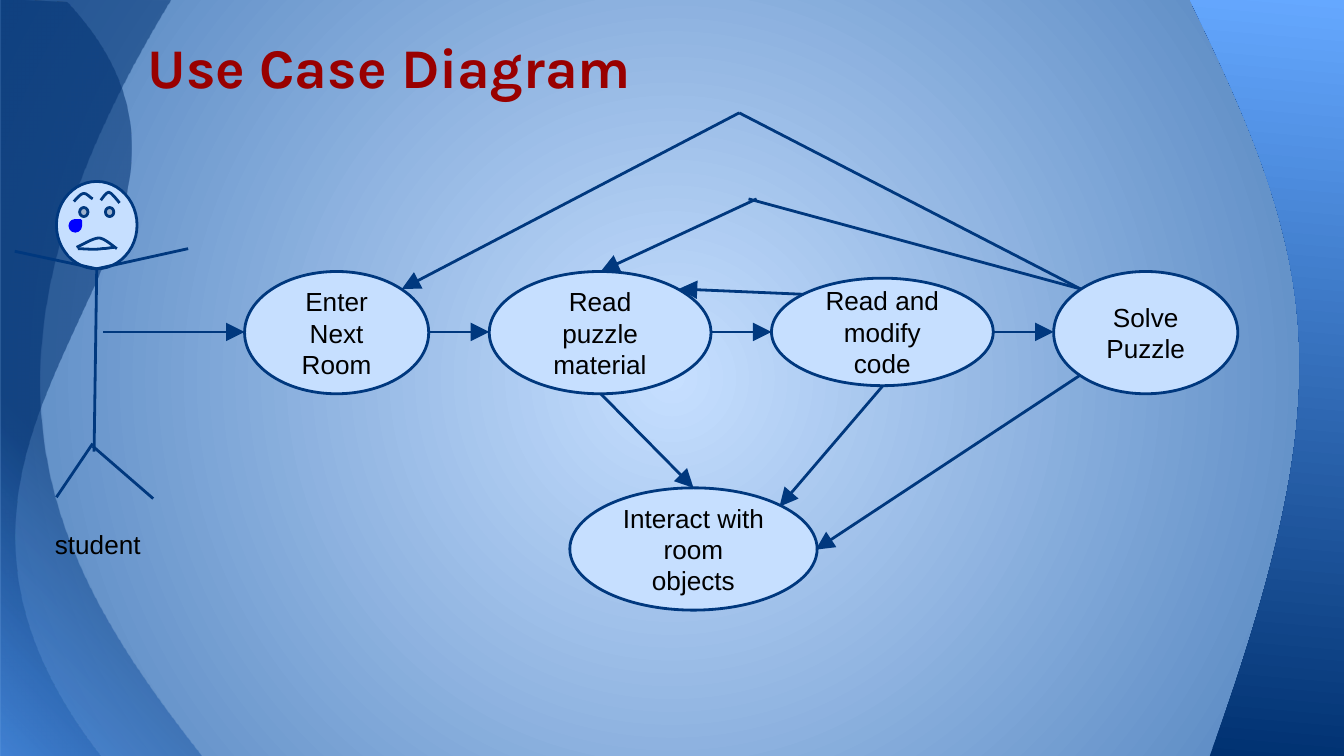
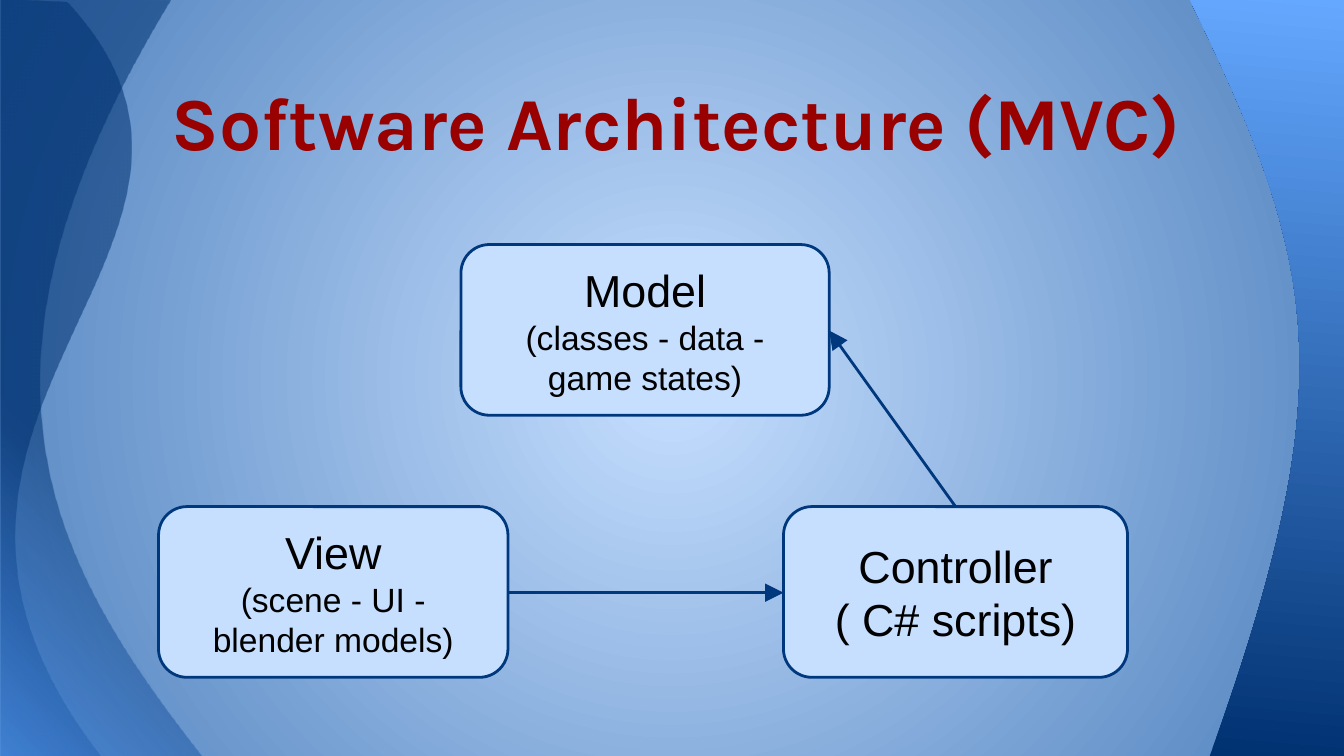
"""Build a use case diagram slide and a software architecture slide."""
from lxml.etree import SubElement
from pptx import Presentation
from pptx.dml.color import RGBColor as RGB
from pptx.enum.shapes import MSO_CONNECTOR as Link, MSO_SHAPE as Kind
from pptx.enum.text import MSO_ANCHOR as Anchor, PP_ALIGN as Align
from pptx.oxml import parse_xml
from pptx.oxml.ns import nsdecls, qn
from pptx.util import Inches, Pt

HUE = {"pale": "C6DFFF", "mid": "4F81BD", "navy": "00387E", "deep": "003171",
       "sky": "549FFF", "light": "65A8FF", "red": "990000", "tear": "0000FF",
       "ink": "000000"}
EDGE = Pt(1.5)


def shade(owner, fill, stops, form, alpha=100):
    """Give the owner's fill a gradient of (position, colour) stops."""
    fill.solid()
    fill.fore_color.rgb = RGB.from_string(HUE[stops[0][1]])
    marks = "".join(
        f'<a:gs pos="{pos * 1000}"><a:srgbClr val="{HUE[hue]}">'
        f'<a:alpha val="{alpha * 1000}"/></a:srgbClr></a:gs>' for pos, hue in stops)
    old = owner.element.find(".//" + qn("a:solidFill"))
    new = parse_xml(f'<a:gradFill {nsdecls("a")} rotWithShape="1">'
                    f'<a:gsLst>{marks}</a:gsLst>{form}</a:gradFill>')
    old.getparent().replace(old, new)


def curve(page, dots, bends, close):
    """Draw an outline; each bend is the first of three Bezier points."""
    spots = [(Inches(x), Inches(y)) for x, y in dots]
    pen = page.shapes.build_freeform(*spots[0])
    pen.add_line_segments(spots[1:], close=close)
    shape = pen.convert_to_shape()
    shape.shadow.inherit = False
    legs = list(shape.element.iter(qn("a:lnTo")))
    for bend in bends:
        trio = legs[bend:bend + 3]
        bow = parse_xml(f'<a:cubicBezTo {nsdecls("a")}/>')
        trio[0].addprevious(bow)
        for leg in trio:
            bow.append(leg[0])
            leg.getparent().remove(leg)
    return shape


prs = Presentation()
prs.slide_width, prs.slide_height = Inches(10), Inches(5.625)
ring = '<a:path path="circle"><a:fillToRect l="{}" t="{}" r="{}" b="{}"/></a:path>'
glow = ring.format(50000, 50000, 50000, 50000)
nook = ring.format(0, 100000, 100000, 0)
slope = '<a:lin ang="16500000" scaled="0"/>'
haze = [(0, "sky"), (41, "deep"), (100, "deep")]
bands = [
    ([(1.5, 5.62), (-0.01, 5.62), (-0.01, -0.02), (1.27, 0),
      (-0.38, 2.72), (0.33, 4.13), (1.5, 5.62)], 3, haze, nook, 54),
    ([(0.75, 5.62), (0.01, 5.62), (0.01, 0), (0.5, 0.02),
      (2.17, 1.82), (-1.22, 3.08), (0.75, 5.62)], 3, haze, nook, 54),
    ([(10.05, 5.63), (9, 5.63), (10.01, 2.84), (9.81, 1.96), (8.85, -0.01),
      (10.05, -0.01)], 1, [(0, "deep"), (100, "light")], slope, 100),
]
base = prs.slide_master
shade(base, base.background.fill, [(0, "pale"), (100, "mid")], glow)
pages = [prs.slides.add_slide(prs.slide_layouts[6]) for _ in range(2)]
for page in pages:
    for dots, bend, stops, form, alpha in bands:
        band = curve(page, dots, [bend], True)
        shade(band, band.fill, stops, form, alpha)
        band.line.fill.background()
case, arch = pages

labels = [
    (case, "Use Case Diagram", (1, -0.25, 9, 1.09), 30, "Karla", "red"),
    (arch, "Software Architecture (MVC)", (1.18, 0.24, 9, 1.09), 40, "Karla", "red"),
    (case, "student", (0.31, 3.83, 6.12, 0.71), 14, "Arial", "ink"),
]
for page, text, box, size, face, hue in labels:
    frame = page.shapes.add_textbox(*map(Inches, box)).text_frame
    frame.word_wrap = True
    frame.margin_top = frame.margin_bottom = Inches(0.1)
    frame.text = text
    title = face == "Karla"
    frame.vertical_anchor = Anchor.BOTTOM if title else Anchor.TOP
    font = frame.paragraphs[0].runs[0].font
    font.name, font.size, font.bold = face, Pt(size), title
    font.color.rgb = RGB.from_string(HUE[hue])

oval, card = Kind.OVAL, Kind.ROUNDED_RECTANGLE
nodes = [
    (case, oval, (5.74, 2.07, 1.65, 0.8), "Read and modify code", [14]),
    (case, oval, (3.64, 2.02, 1.65, 0.91), "Read puzzle material", [14]),
    (case, oval, (1.82, 2.02, 1.37, 0.91), "Enter Next Room", [14]),
    (case, oval, (4.24, 3.63, 1.84, 0.91), "Interact with room objects", [14]),
    (case, oval, (7.84, 2.02, 1.37, 0.91), "Solve Puzzle", [14]),
    (arch, card, (3.43, 1.82, 2.74, 1.27),
     "Model\n(classes - data - game states)", [24, 18]),
    (arch, card, (1.18, 3.77, 2.6, 1.27),
     "View\n(scene - UI - blender models)", [24, 18]),
    (arch, card, (5.83, 3.77, 2.56, 1.27), "Controller\n( C# scripts)", [24, 24]),
]
for page, kind, box, text, sizes in nodes:
    node = page.shapes.add_shape(kind, *map(Inches, box))
    node.shadow.inherit = False
    node.fill.solid()
    node.fill.fore_color.rgb = RGB.from_string(HUE["pale"])
    node.line.color.rgb = RGB.from_string(HUE["navy"])
    node.line.width = EDGE
    frame = node.text_frame
    frame.word_wrap = True
    frame.vertical_anchor = Anchor.MIDDLE
    frame.margin_left = frame.margin_right = Inches(0.11)
    frame.margin_top = frame.margin_bottom = Inches(0.1)
    frame.text = text
    for para, size in zip(frame.paragraphs, sizes):
        para.alignment = Align.CENTER
        font = para.runs[0].font
        font.name, font.size = "Arial", Pt(size)
        font.color.rgb = RGB.from_string(HUE["ink"])

parts = [
    (Kind.SMILEY_FACE, (0.42, 1.35, 0.6, 0.65), 0.047, "pale", "navy"),
    (Kind.TEAR, (0.52, 1.64, 0.08, 0.08), 1, "tear", "tear"),
    (card, (0.52, 1.79, 0.38, 0.11), 0.167, "pale", "pale"),
]
for kind, box, adjust, hue, edge in parts:
    part = case.shapes.add_shape(kind, *map(Inches, box))
    part.shadow.inherit = False
    part.adjustments[0] = adjust
    part.fill.solid()
    part.fill.fore_color.rgb = RGB.from_string(HUE[hue])
    part.line.color.rgb = RGB.from_string(HUE[edge])
    part.line.width = EDGE

strokes = [
    [(0.57, 1.84), (0.6, 1.83), (0.69, 1.77), (0.74, 1.77),
     (0.79, 1.78), (0.85, 1.84), (0.87, 1.85)],
    [(0.58, 1.85), (0.61, 1.85), (0.71, 1.86), (0.76, 1.85),
     (0.8, 1.85), (0.83, 1.84), (0.85, 1.84)],
    [(0.55, 1.5), (0.56, 1.49), (0.6, 1.44), (0.62, 1.44),
     (0.64, 1.43), (0.68, 1.48), (0.69, 1.48)],
    [(0.75, 1.49), (0.76, 1.48), (0.79, 1.43), (0.81, 1.43),
     (0.83, 1.43), (0.88, 1.5), (0.89, 1.51)],
]
for dots in strokes:
    stroke = curve(case, dots, [0, 3], False)
    stroke.fill.background()
    stroke.line.color.rgb = RGB.from_string(HUE["navy"])
    stroke.line.width = EDGE

limbs = [
    (0.72, 2, 0.7, 3.36), (0.72, 2, 0.11, 1.87), (0.72, 2, 1.4, 1.85),
    (0.69, 3.3, 0.42, 3.7), (0.69, 3.32, 1.14, 3.71),
    (8.04, 2.15, 5.5, 0.84), (8.04, 2.15, 5.57, 1.48),
]
flows = [
    (0.77, 2.47, 1.82, 2.47), (3.19, 2.47, 3.64, 2.47),
    (5.29, 2.47, 5.74, 2.47), (7.39, 2.47, 7.84, 2.47),
    (4.47, 2.93, 5.16, 3.63), (6.57, 2.87, 5.8, 3.77),
    (8.04, 2.79, 6.07, 4.09), (5.5, 0.84, 2.99, 2.15),
    (5.98, 2.19, 5.05, 2.15), (5.63, 1.48, 4.47, 2.02),
]
calls = [(3.78, 4.41, 5.83, 4.41), (7.11, 3.77, 6.17, 2.46)]
for page, group, tip in [(case, limbs, False), (case, flows, True), (arch, calls, True)]:
    for ends in group:
        link = page.shapes.add_connector(Link.STRAIGHT, *map(Inches, ends))
        link.line.color.rgb = RGB.from_string(HUE["navy"])
        link.line.width = EDGE
        props = link.element.spPr
        if tip:
            SubElement(props.find(qn("a:ln")), qn("a:tailEnd"),
                       type="triangle", w="lg", len="lg")
        SubElement(props, qn("a:effectLst"))

prs.save("out.pptx")
